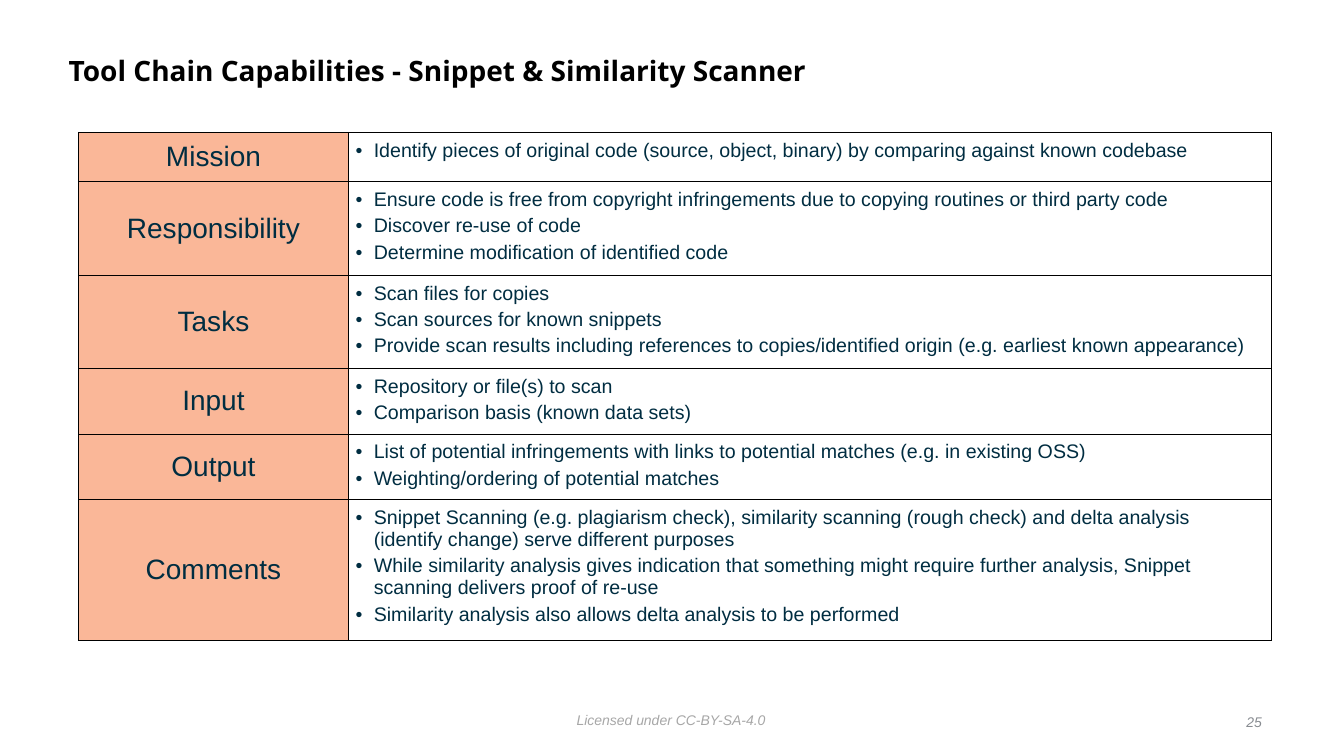
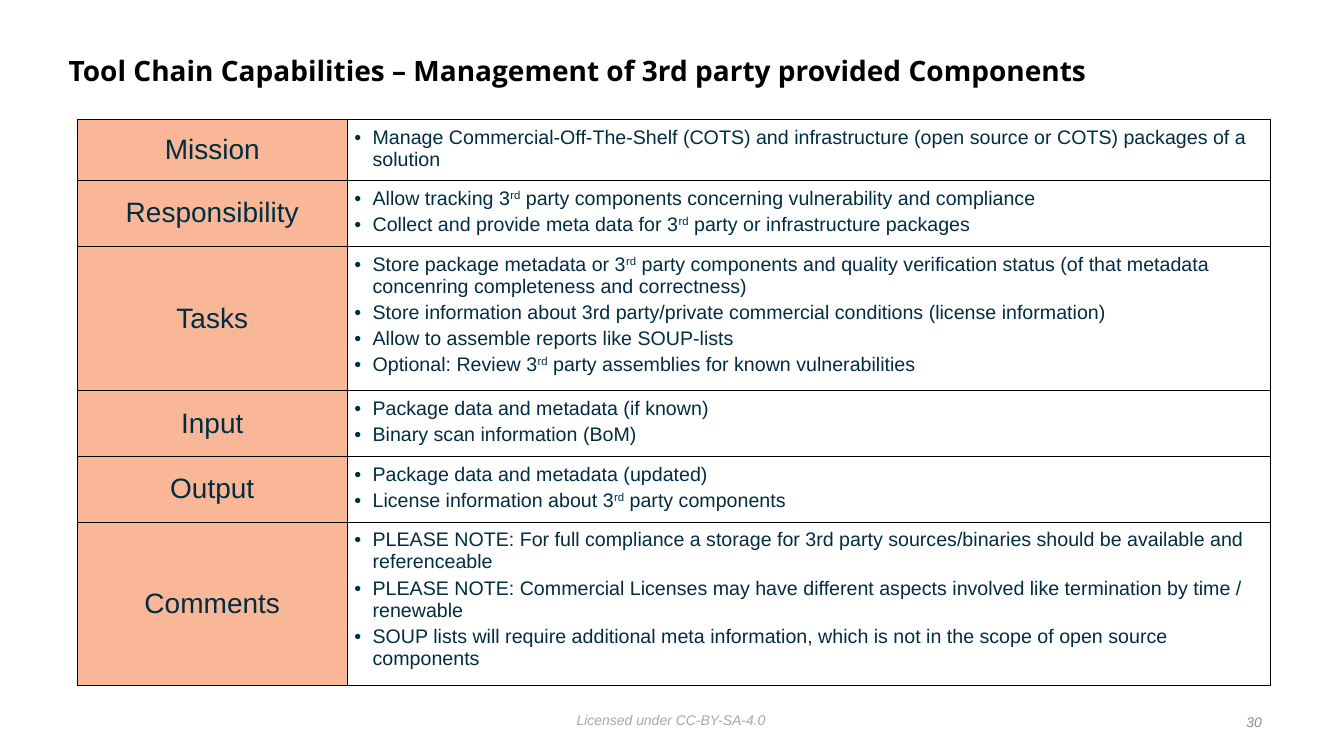
from lxml import etree
from pptx import Presentation
from pptx import util as u
from pptx.dml.color import RGBColor
from pptx.enum import text
from pptx.oxml import ns

BLACK, NAVY, PEACH = "000000", "002D41", "FAB798"
FOOTER_GREY, NUMBER_GREY = "A7A7A7", "888C91"
BODY_FONT, TITLE_FONT = "Arial", "Open Sans"
LICENSE = "Licensed under CC-BY-SA-4.0"
COLUMNS = (6.8, 23.27)
CELL_INSET, BULLET_INDENT, BOX_INSET = 0.18, 0.46, 0.13

# Lengths are in cm; each row is label, height, bullets. Text between ^ marks is superscript.
SLIDES = [
    {
        "title": "Tool Chain Capabilities - Snippet & Similarity Scanner",
        "number": "25",
        "table_at": (1.98, 3.33),
        "rows": [
            ("Mission", 1.25, [
                "Identify pieces of original code (source, object, binary) by comparing against known codebase",
            ]),
            ("Responsibility", 2.24, [
                "Ensure code is free from copyright infringements due to copying routines or third party code",
                "Discover re-use of code",
                "Determine modification of identified code",
            ]),
            ("Tasks", 2.24, [
                "Scan files for copies",
                "Scan sources for known snippets",
                "Provide scan results including references to copies/identified origin "
                "(e.g. earliest known appearance)",
            ]),
            ("Input", 1.57, [
                "Repository or file(s) to scan",
                "Comparison basis (known data sets)",
            ]),
            ("Output", 1.57, [
                "List of potential infringements with links to potential matches (e.g. in existing OSS)",
                "Weighting/ordering of potential matches",
            ]),
            ("Comments", 3.35, [
                "Snippet Scanning (e.g. plagiarism check), similarity scanning (rough check) "
                "and delta analysis (identify change) serve different purposes",
                "While similarity analysis gives indication that something might require "
                "further analysis, Snippet scanning delivers proof of re-use",
                "Similarity analysis also allows delta analysis to be performed",
            ]),
        ],
    },
    {
        "title": "Tool Chain Capabilities – Management of 3rd party provided Components",
        "number": "30",
        "table_at": (1.95, 3.0),
        "rows": [
            ("Mission", 1.45, [
                "Manage Commercial-Off-The-Shelf (COTS) and infrastructure "
                "(open source or COTS) packages of a solution",
            ]),
            ("Responsibility", 1.57, [
                "Allow tracking 3^rd^ party components concerning vulnerability and compliance",
                "Collect and provide meta data for 3^rd^ party or infrastructure packages",
            ]),
            ("Tasks", 3.45, [
                "Store package metadata or 3^rd^ party components and quality verification status "
                "(of that metadata concenring completeness and correctness)",
                "Store information about 3rd party/private commercial conditions (license information)",
                "Allow to assemble reports like SOUP-lists",
                "Optional: Review 3^rd^ party assemblies for known vulnerabilities",
            ]),
            ("Input", 1.57, [
                "Package data and metadata (if known)",
                "Binary scan information (BoM)",
            ]),
            ("Output", 1.57, [
                "Package data and metadata (updated)",
                "License information about 3^rd^ party components",
            ]),
            ("Comments", 3.91, [
                "PLEASE NOTE: For full compliance a storage for 3rd party sources/binaries "
                "should be available and referenceable",
                "PLEASE NOTE: Commercial Licenses may have different aspects involved "
                "like termination by time / renewable",
                "SOUP lists will require additional meta information, which is not in the scope "
                "of open source components",
            ]),
        ],
    },
]


def color(value):
    return RGBColor.from_string(value)


def add_span(para, words, size, ink, font=BODY_FONT, bold=False, italic=False):
    span = para.add_run()
    span.text = words
    span.font.size = u.Pt(size)
    span.font.name = font
    span.font.color.rgb = color(ink)
    span.font.bold = bold
    span.font.italic = italic
    return span


def set_insets(target, inset):
    target.margin_left = target.margin_right = u.Cm(inset)
    target.margin_top = target.margin_bottom = u.Cm(inset)


def add_text(page, at, words, size, ink, wrap=False, anchor=text.MSO_ANCHOR.TOP,
             align=text.PP_ALIGN.LEFT, **style):
    """Add a one-paragraph text box and return its paragraph."""
    frame = page.shapes.add_textbox(*map(u.Cm, at)).text_frame
    frame.word_wrap = wrap
    frame.vertical_anchor = anchor
    set_insets(frame, BOX_INSET)
    para = frame.paragraphs[0]
    para.alignment = align
    add_span(para, words, size, ink, **style)
    return para


def add_borders(cell):
    properties = cell._tc.get_or_add_tcPr()
    for side in ("a:lnL", "a:lnR", "a:lnT", "a:lnB"):
        line = etree.SubElement(properties, ns.qn(side), w=str(u.Pt(0.5)))
        fill = etree.SubElement(line, ns.qn("a:solidFill"))
        etree.SubElement(fill, ns.qn("a:srgbClr"), val=BLACK)


def add_bullet(para):
    properties = para._p.get_or_add_pPr()
    properties.set("marL", str(u.Cm(BULLET_INDENT)))
    properties.set("indent", str(-u.Cm(BULLET_INDENT)))
    etree.SubElement(properties, ns.qn("a:buFont"), typeface=BODY_FONT)
    etree.SubElement(properties, ns.qn("a:buChar"), char="•")


def fill_label(cell, label):
    add_borders(cell)
    cell.fill.solid()
    cell.fill.fore_color.rgb = color(PEACH)
    cell.vertical_anchor = text.MSO_ANCHOR.MIDDLE
    set_insets(cell, 0)
    para = cell.text_frame.paragraphs[0]
    para.alignment = text.PP_ALIGN.CENTER
    add_span(para, label, 20, NAVY)


def fill_bullets(cell, bullets):
    add_borders(cell)
    cell.fill.background()
    set_insets(cell, CELL_INSET)
    frame = cell.text_frame
    for index, bullet in enumerate(bullets):
        para = frame.add_paragraph() if index else frame.paragraphs[0]
        add_bullet(para)
        para.space_before = u.Pt(3 if index else 0)
        for part, words in enumerate(bullet.split("^")):
            span = add_span(para, words, 14, NAVY)
            if part % 2:
                span._r.get_or_add_rPr().set("baseline", "30000")


def add_capability_table(page, at, rows):
    height = sum(row[1] for row in rows)
    size = (sum(COLUMNS), height)
    table = page.shapes.add_table(len(rows), len(COLUMNS), *map(u.Cm, at + size)).table
    table.first_row = table.horz_banding = False
    for column, width in zip(table.columns, COLUMNS):
        column.width = u.Cm(width)
    for index, (label, row_height, bullets) in enumerate(rows):
        table.rows[index].height = u.Cm(row_height)
        fill_label(table.cell(index, 0), label)
        fill_bullets(table.cell(index, 1), bullets)


def add_page(deck, content):
    page = deck.slides.add_slide(deck.slide_layouts[6])
    add_text(page, (14.4, 17.81, 5.05, 0.64), LICENSE, 10, FOOTER_GREY, italic=True)
    title = add_text(page, (1.6, 0.99, 27.3, 1.65), content["title"], 20, BLACK, wrap=True,
                     anchor=text.MSO_ANCHOR.MIDDLE, font=TITLE_FONT, bold=True)
    title.line_spacing = 0.9
    add_capability_table(page, content["table_at"], content["rows"])
    add_text(page, (31.24, 17.86, 0.69, 0.64), content["number"], 10, NUMBER_GREY,
             anchor=text.MSO_ANCHOR.MIDDLE, align=text.PP_ALIGN.RIGHT, italic=True)


def main():
    deck = Presentation()
    deck.slide_width, deck.slide_height = u.Cm(33.87), u.Cm(19.05)
    for content in SLIDES:
        add_page(deck, content)
    deck.save("out.pptx")


if __name__ == "__main__":
    main()
